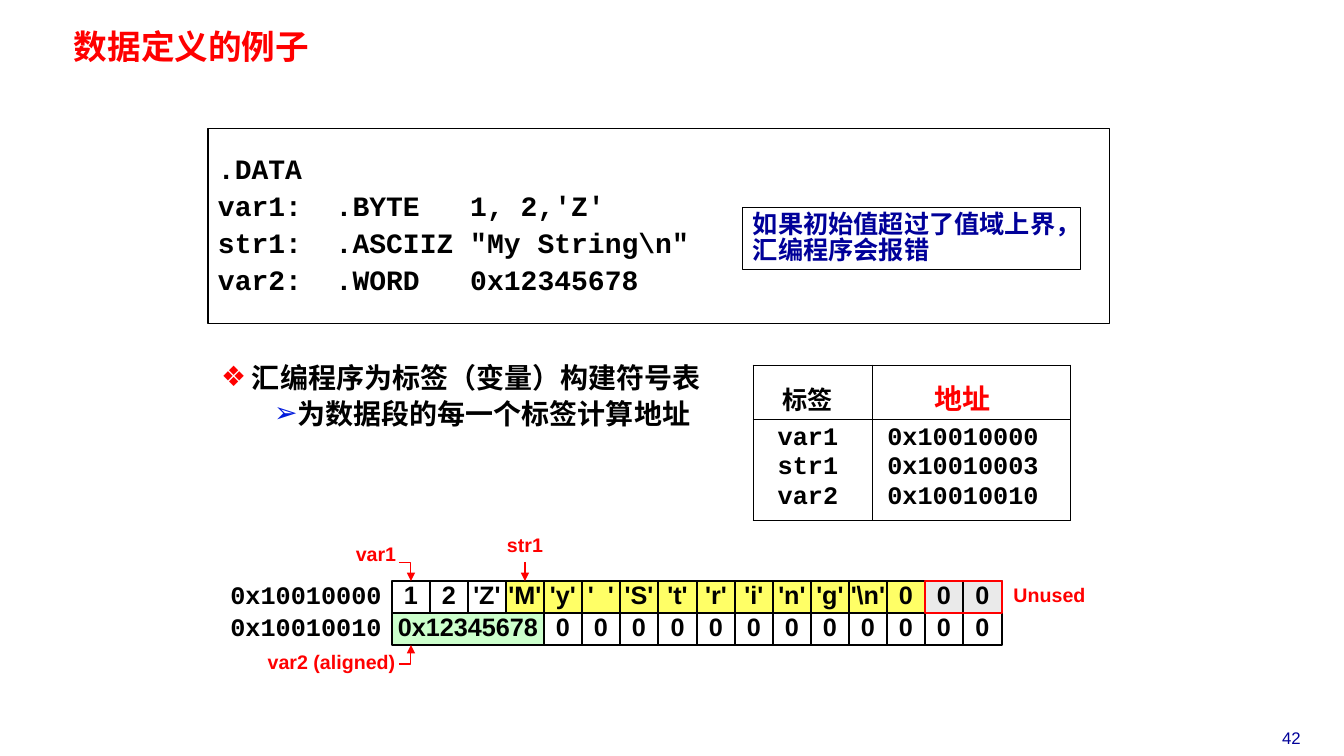
from lxml.etree import SubElement
from pptx import Presentation
from pptx.dml.color import RGBColor
from pptx.enum.shapes import MSO_CONNECTOR as CONNECTOR, MSO_SHAPE as SHAPE
from pptx.enum.text import MSO_ANCHOR as ANCHOR, MSO_AUTO_SIZE as AUTO_SIZE, PP_ALIGN as ALIGN
from pptx.oxml.ns import qn
from pptx.util import Emu, Pt

SCALE = 914400 / 100.8
COLORS = {
    "black": "000000", "red": "FF0000", "navy": "000099", "blue": "001ADC",
    "yellow": "FFFF66", "green": "CCFFCC", "gray": "EAEAEA",
}
MEMORY_LEFT, MEMORY_TOP, MEMORY_WIDTH, ROW_HEIGHT, COLUMNS = 392, 581, 610, 32, 16


def px(length):
    """Turn pixels into EMU."""
    return Emu(round(length * SCALE))


def rgb(name):
    """Look up a named colour."""
    return RGBColor.from_string(COLORS[name])


def write(frame, lines, size, color="black", font="Arial", bold=True, align=ALIGN.CENTER,
          spacing=0.85, before=0, margins=(0, 0, 0, 0), anchor=ANCHOR.MIDDLE):
    """Fill a text frame with evenly formatted paragraphs."""
    frame.word_wrap = True
    frame.auto_size = AUTO_SIZE.NONE
    frame.vertical_anchor = anchor
    frame.margin_left, frame.margin_top, frame.margin_right, frame.margin_bottom = map(px, margins)
    frame.text = "\n".join(lines)
    for index, para in enumerate(frame.paragraphs):
        para.alignment = align
        para.line_spacing = spacing
        para.space_before = Pt(before if index else 0)
        para.font.name, para.font.size, para.font.bold = font, Pt(size), bold
        para.font.color.rgb = rgb(color)


def place(shape, left, top, width, height):
    """Move and size a placeholder."""
    shape.left, shape.top, shape.width, shape.height = map(px, (left, top, width, height))


def add_label(page, area, text, size=14, color="red", **style):
    """Add a one-line text box."""
    box = page.shapes.add_textbox(*map(px, area))
    write(box.text_frame, [text], size, color, **style)


def add_box(page, area, fill=None, line="black", weight=0.75):
    """Add a flat outlined rectangle."""
    box = page.shapes.add_shape(SHAPE.RECTANGLE, *map(px, area))
    box.shadow.inherit = False
    if fill:
        box.fill.solid()
        box.fill.fore_color.rgb = rgb(fill)
    else:
        box.fill.background()
    box.line.color.rgb = rgb(line)
    box.line.width = Pt(weight)
    return box


def add_arrow(page, *points):
    """Draw a red arrow through the points."""
    start, *rest = points
    if len(rest) == 1:
        arrow = page.shapes.add_connector(CONNECTOR.STRAIGHT, *map(px, start + rest[0]))
    else:
        builder = page.shapes.build_freeform(*start, scale=SCALE)
        builder.add_line_segments(rest, close=False)
        arrow = builder.convert_to_shape()
        arrow.fill.background()
    arrow.line.color.rgb = rgb("red")
    arrow.line.width = Pt(0.75)
    properties = arrow.element.spPr
    SubElement(properties.find(qn("a:ln")), qn("a:tailEnd"), type="triangle")
    SubElement(properties, qn("a:effectLst"))


def add_bullet(para, symbol, color, indent, hanging):
    """Give a paragraph a coloured bullet and hanging indent."""
    settings = para._p.get_or_add_pPr()
    settings.set("marL", str(px(indent)))
    settings.set("indent", str(-px(hanging)))
    bullet_color = settings.makeelement(qn("a:buClr"))
    SubElement(bullet_color, qn("a:srgbClr"), val=COLORS[color])
    bullet = settings.makeelement(qn("a:buChar"), char=symbol)
    defaults = settings.find(qn("a:defRPr"))
    defaults.addprevious(bullet_color)
    defaults.addprevious(bullet)


def add_borders(cell):
    """Draw thin black borders around a table cell."""
    settings = cell._tc.get_or_add_tcPr()
    for position, side in enumerate(("a:lnL", "a:lnR", "a:lnT", "a:lnB")):
        border = settings.makeelement(qn(side), w=str(Pt(0.75)))
        SubElement(SubElement(border, qn("a:solidFill")), qn("a:srgbClr"), val=COLORS["black"])
        settings.insert(position, border)


def add_symbol_table(page):
    """Add the table of labels and addresses."""
    table = page.shapes.add_table(2, 2, *map(px, (753, 365, 318, 156))).table
    for row, height in zip(table.rows, (54, 102)):
        row.height = px(height)
    columns = (
        (120, 10, "标签", 18, "black", ["var1", "str1", "var2"]),
        (198, 18, "地址", 20, "red", ["0x10010000", "0x10010003", "0x10010010"]),
    )
    for index, (width, right, heading, size, color, entries) in enumerate(columns):
        table.columns[index].width = px(width)
        cells = [(heading,), entries]
        looks = [(size, color, ANCHOR.BOTTOM, 0, 3), (18, "black", ANCHOR.TOP, 7, 0)]
        for row, (lines, look) in enumerate(zip(cells, looks)):
            cell = table.cell(row, index)
            points, ink, anchor, top, bottom = look
            cell.fill.background()
            cell.vertical_anchor = anchor
            cell.margin_left, cell.margin_right = 0, px(right)
            cell.margin_top, cell.margin_bottom = px(top), px(bottom)
            cell.text = "\n".join(lines)
            for number, para in enumerate(cell.text_frame.paragraphs):
                para.alignment, para.line_spacing = ALIGN.CENTER, 0.85
                para.space_before = Pt(3.6 if number else 0)
                para.font.name, para.font.size, para.font.bold = "Courier New", Pt(points), True
                para.font.color.rgb = rgb(ink)
            add_borders(cell)


def add_memory_cell(page, row, column, text, fill, span=1):
    """Add one cell of the memory map."""
    left, right = (MEMORY_LEFT + MEMORY_WIDTH * edge // COLUMNS for edge in (column, column + span))
    area = (left, MEMORY_TOP + ROW_HEIGHT * row, right - left, ROW_HEIGHT)
    write(add_box(page, area, fill, weight=1).text_frame, [text], 18)


def add_memory_map(page):
    """Draw the two memory rows with their addresses and labels."""
    content = ["1", "2", "'Z'", "'M'", "'y'", "'  '", "'S'", "'t'", "'r'", "'i'", "'n'", "'g'",
               "'\\n'", "0", "0", "0"]
    fills = [None] * 3 + ["yellow"] * 11 + ["gray"] * 2
    for column, (text, fill) in enumerate(zip(content, fills)):
        add_memory_cell(page, 0, column, text, fill)
    add_memory_cell(page, 1, 0, "0x12345678", "green", span=4)
    for column in range(4, COLUMNS):
        add_memory_cell(page, 1, column, "0", None)
    add_box(page, (925, MEMORY_TOP, 77, ROW_HEIGHT), line="red", weight=1.5)

    for row, address in enumerate(("0x10010000", "0x10010010")):
        area = (227, MEMORY_TOP + ROW_HEIGHT * row, 158, ROW_HEIGHT)
        add_label(page, area, address, 18, "black", font="Courier New")
    add_label(page, (354, 549, 44, 13), "var1")
    add_label(page, (506, 537, 38, 19), "str1")
    add_label(page, (265, 651, 133, 25), "var2 (aligned)")
    add_label(page, (1008, MEMORY_TOP, 83, ROW_HEIGHT), "Unused")
    add_arrow(page, (399, 562), (411, 562), (411, 581))
    add_arrow(page, (525, 562), (525, 581))
    add_arrow(page, (399, 664), (411, 664), (411, 645))


def main():
    """Build the slide and save it."""
    deck = Presentation()
    deck.slide_width, deck.slide_height = px(1344), px(756)
    page = deck.slides.add_slide(deck.slide_layouts[1])
    title, body = page.placeholders

    place(title, 67, 28, 773, 41)
    write(title.text_frame, ["数据定义的例子"], 24, "red", "Noto Sans CJK SC",
          align=ALIGN.LEFT, spacing=0.87, margins=(7, 3, 7, 3))

    code = ["\u002eDATA".replace("\u002e", "."), "var1:  .BYTE   1, 2,'Z'",
            "str1:  .ASCIIZ \"My String\\n\"", "var2:  .WORD   0x12345678"]
    write(add_box(page, (208, 129, 902, 195)).text_frame, code, 20, font="Courier New",
          align=ALIGN.LEFT, before=6, margins=(10, 0, 10, 0))
    write(add_box(page, (743, 208, 338, 62)).text_frame,
          ["如果初始值超过了值域上界，汇编程序会报错"], 18, "navy", align=ALIGN.LEFT,
          margins=(10, 5, 10, 5), anchor=ANCHOR.TOP)

    place(body, 221, 357, 904, 77)
    write(body.text_frame, ["汇编程序为标签（变量）构建符号表", "为数据段的每一个标签计算地址"], 20,
          align=ALIGN.LEFT, spacing=1, before=2, margins=(0, 3, 0, 3), anchor=ANCHOR.TOP)
    first, second = body.text_frame.paragraphs
    second.level = 1
    add_bullet(first, "❖", "red", 31, 31)
    add_bullet(second, "➢", "blue", 74, 21)

    add_symbol_table(page)
    add_memory_map(page)
    add_label(page, (1244, 723, 95, 30), "42", 12, "navy", bold=False, spacing=1)
    deck.save("out.pptx")


main()
